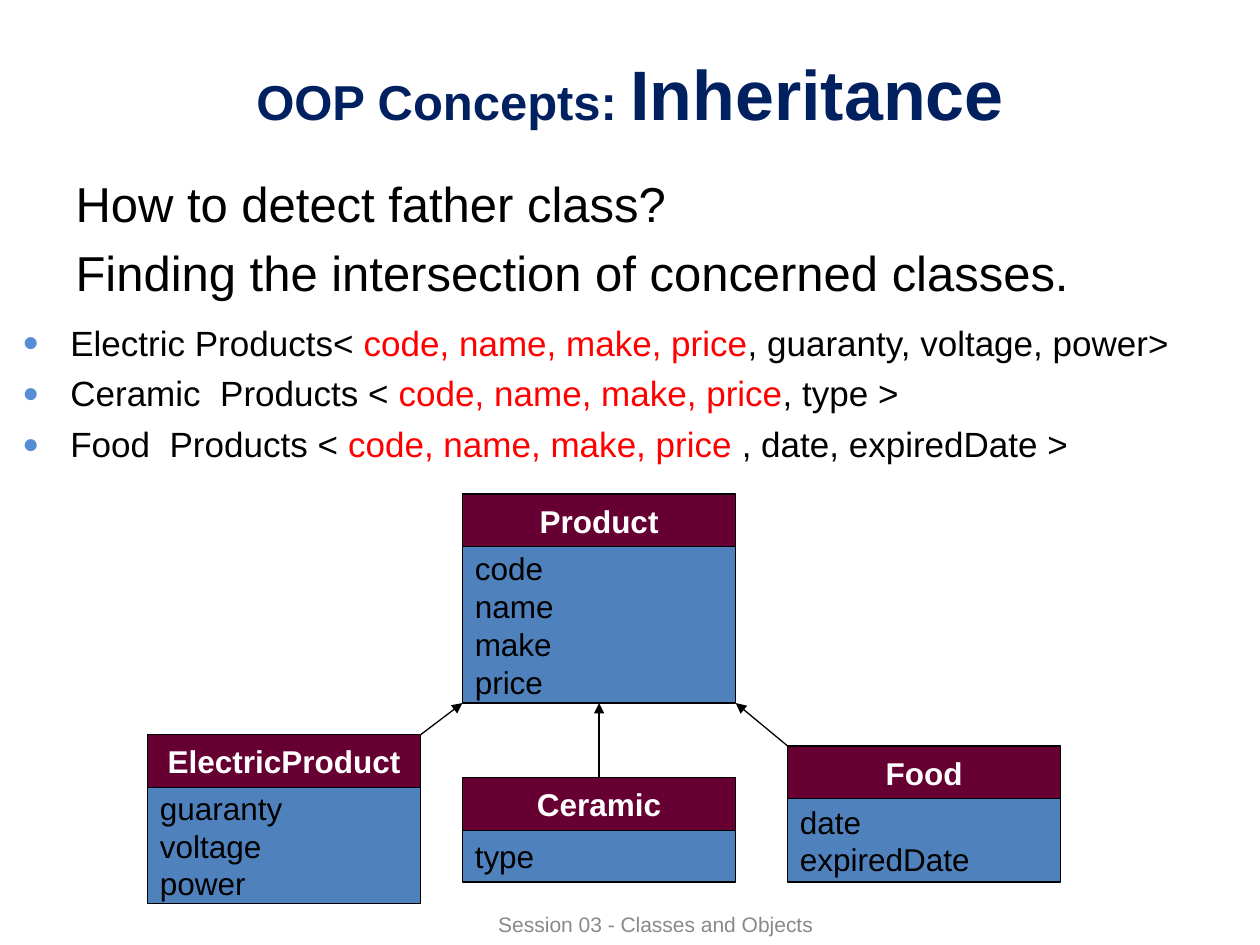
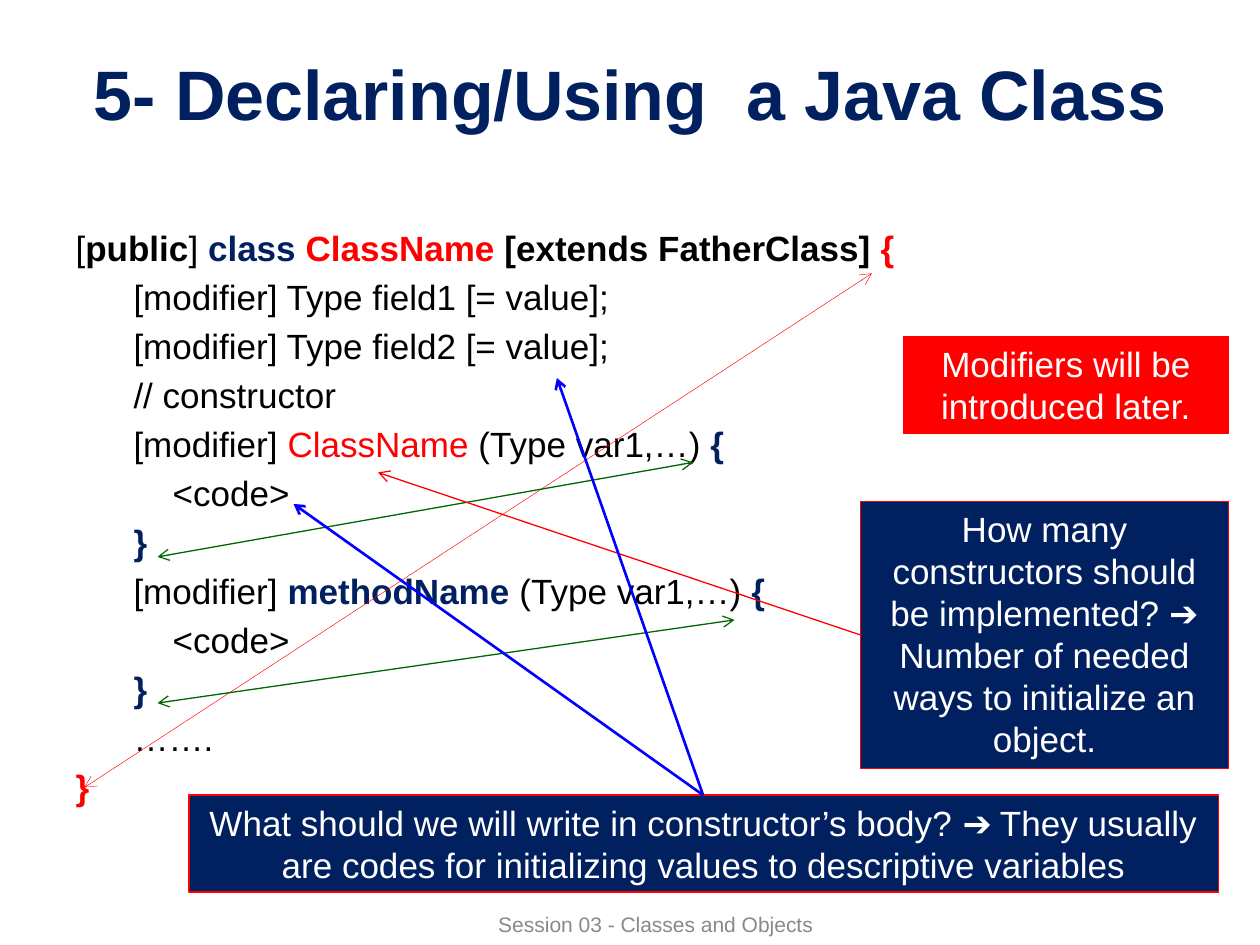
import pptx
import pptx.util
import pptx.dml.color
import pptx.enum.shapes
import pptx.enum.text
import pptx.oxml.ns
from lxml import etree

Inches = pptx.util.Inches
HUE = {
    "navy": "002060", "red": "FF0000", "black": "000000", "white": "FFFFFF",
    "gray": "898989", "wine": "660033", "steel": "4F81BD", "dot": "558ED5",
    "green": "006600", "blue": "0000FF",
}
ALIGN = pptx.enum.text.PP_ALIGN
ANCHOR = pptx.enum.text.MSO_ANCHOR
PLAIN = {"name": "Arial", "bold": False}
STRONG = {"name": "Arial", "bold": True}
MID = {"alignment": ALIGN.CENTER}
LEFT = {"alignment": ALIGN.LEFT}
FRAME = {"word_wrap": True, "auto_size": pptx.enum.text.MSO_AUTO_SIZE.NONE}
CENTRED = {**FRAME, "vertical_anchor": ANCHOR.MIDDLE}
TOP = {**FRAME, "vertical_anchor": ANCHOR.TOP}
TIGHT = {**CENTRED, "margin_top": 0, "margin_bottom": 0}
STEPS = [0, 0.46, 0.77]
HEAD = 0.42


def put(item, form):
    """Set every format value on an item."""
    for key, value in form.items():
        setattr(item, key, value)


def rgb(hue):
    """Give the named colour."""
    return pptx.dml.color.RGBColor.from_string(HUE[hue])


def node(parent, tag, **attrs):
    """Append a drawing element and give it back."""
    return etree.SubElement(parent, pptx.oxml.ns.qn("a:" + tag), attrs)


def place(item, box):
    """Move an item to a box in inches."""
    put(item, dict(zip(("left", "top", "width", "height"), map(Inches, box))))


def write(frame, lines, size, form, para):
    """Fill a frame with lines of (text, colour, bold) runs."""
    put(frame, form)
    for i, line in enumerate(lines):
        par = frame.paragraphs[0] if i == 0 else frame.add_paragraph()
        put(par, para)
        for text, hue, bold in line:
            run = par.add_run()
            run.text = text
            put(run.font, {**(STRONG if bold else PLAIN), "size": pptx.util.Pt(size)})
            run.font.color.rgb = rgb(hue)
    return frame.paragraphs


def indent(par, left, first):
    """Set the left margin and first line offset of a paragraph."""
    props = par._p.get_or_add_pPr()
    props.set("marL", str(Inches(left)))
    props.set("indent", str(Inches(first)))
    return props


def label(slide, box, lines, size, form, para):
    """Add a text box."""
    item = slide.shapes.add_textbox(*map(Inches, box))
    return write(item.text_frame, lines, size, form, para)


def block(slide, box, fill, edge, lines, size, form, para):
    """Add a filled rectangle with text."""
    kind = pptx.enum.shapes.MSO_SHAPE.RECTANGLE
    item = slide.shapes.add_shape(kind, *map(Inches, box))
    item.shadow.inherit = False
    item.fill.solid()
    item.fill.fore_color.rgb = rgb(fill)
    item.line.color.rgb = rgb(edge)
    item.line.width = pptx.util.Pt(0.75)
    write(item.text_frame, lines, size, form, para)


def arrow(slide, start, end, hue, width, tip, both=False):
    """Add a line with a tip at its end, or at both ends."""
    kind = pptx.enum.shapes.MSO_CONNECTOR.STRAIGHT
    item = slide.shapes.add_connector(kind, *map(Inches, start + end))
    item.line.color.rgb = rgb(hue)
    item.line.width = pptx.util.Pt(width)
    edge = item.line._get_or_add_ln()
    if both:
        node(edge, "headEnd", type=tip)
    node(edge, "tailEnd", type=tip)
    node(item._element.spPr, "effectLst")


def base(deck, title):
    """Start a slide with its title and footer."""
    slide = deck.slides.add_slide(deck.slide_layouts[1])
    place(slide.shapes.title, (0.5, 0.3, 9, 0.87))
    runs = [(text, "navy", True, size) for text, size in title]
    frame = slide.shapes.title.text_frame
    write(frame, [[run[:3] for run in runs]], 40, CENTRED, MID)
    for run, part in zip(frame.paragraphs[0].runs, runs):
        run.font.size = pptx.util.Pt(part[3])
    foot = [[("Session 03 - Classes and Objects", "gray", False)]]
    label(slide, (2.83, 7.17, 4.75, 0.33), foot, 12, CENTRED, MID)
    return slide


def body(slide, box, lines, size, steps):
    """Fill the body placeholder with lines at the given levels."""
    item = slide.placeholders[1]
    place(item, box)
    pars = write(item.text_frame, lines, size, TOP, LEFT)
    for par, step in zip(pars, steps):
        node(indent(par, STEPS[step], 0), "buNone")


def goods(slide, box):
    """List the kinds of goods with their shared fields in red."""
    rows = [
        ("Electric Products< ", "code, name, make, price", ", guaranty, voltage, power>"),
        ("Ceramic  Products < ", "code, name, make, price", ", type >"),
        ("Food  Products <", " code, name, make, price", " , date, expiredDate >"),
    ]
    hues = ("black", "red", "black")
    lines = [[(text, hue, False) for text, hue in zip(row, hues)] for row in rows]
    para = {**LEFT, "space_before": pptx.util.Pt(5)}
    for par in label(slide, box, lines, 20, TOP, para):
        props = indent(par, 0.38, -0.38)
        node(node(props, "buClr"), "srgbClr", val=HUE["dot"])
        node(props, "buSzPct", val="80000")
        node(props, "buFont", typeface="Arial")
        node(props, "buChar", char="●")


def card(slide, box, name, fields):
    """Draw a class as a name band over its fields."""
    x, y, w, h = box
    block(slide, (x, y, w, HEAD), "wine", "black", [[(name, "white", True)]], 18, CENTRED, MID)
    lines = [[(field, "black", False)] for field in fields]
    block(slide, (x, y + HEAD, w, h - HEAD), "steel", "black", lines, 18, TIGHT, LEFT)


def tree(slide, box):
    """Draw the father class with its child classes below."""
    x, y, w, h = box
    wide = 2.17
    mid, deep = x + 2.5, 1.66
    card(slide, (mid, y, wide, deep), "Product", ["code", "name", "make", "price"])
    kids = [
        ("ElectricProduct", ["guaranty", "voltage", "power"], x, 1.91, h, wide, 0),
        ("Ceramic", ["type"], mid, 2.25, h - 0.17, wide / 2, wide / 2),
        ("Food", ["date", "expiredDate"], x + w - wide, 2, h - 0.17, 0, wide),
    ]
    for name, fields, left, top, low, out, into in kids:
        card(slide, (left, y + top, wide, low - top), name, fields)
        arrow(slide, (left + out, y + top), (mid + into, y + deep), "black", 0.75, "triangle")


def code(slide, box):
    """Write the class outline and link its braces."""
    rows = [
        (0, [("[", "black", False), ("public", "black", True), ("] ", "black", False),
             ("class ", "navy", True), ("ClassName ", "red", True),
             ("[extends FatherClass] ", "black", True), ("{", "red", True)]),
        (1, [("[modifier] Type field1 [= value];", "black", False)]),
        (1, [("[modifier] Type field2 [= value];", "black", False)]),
        (1, [("// constructor", "black", False)]),
        (1, [("[modifier] ", "black", False), ("ClassName", "red", False),
             (" (Type var1,…) ", "black", False), ("{", "navy", True)]),
        (2, [("<code>", "black", False)]),
        (1, [("}", "navy", True)]),
        (1, [("[modifier] ", "black", False), ("methodName ", "navy", True),
             ("(Type var1,…) ", "black", False), ("{", "navy", True)]),
        (2, [("<code>", "black", False)]),
        (1, [("}", "navy", True)]),
        (1, [("…….", "black", False)]),
        (0, [("}", "red", True)]),
    ]
    body(slide, box, [row[1] for row in rows], 20, [row[0] for row in rows])
    x, y = box[:2]
    links = [
        ((0.17, 4.5), (6.42, 0.42), "red", 0.25),
        ((0.75, 2.67), (5, 1.92), "green", 0.75),
        ((0.75, 3.83), (5.33, 3.17), "green", 0.75),
    ]
    for (a, b), (c, d), hue, width in links:
        arrow(slide, (x + a, y + b), (x + c, y + d), hue, width, "arrow", True)


def note(slide, box, fill, text, hue="red", width=0.75, start=(0, 0), ends=()):
    """Add a note with arrows from a point on its edge."""
    block(slide, box, fill, "red", [[(text, "white", False)]], 20, TOP, MID)
    x, y = box[:2]
    for a, b in ends:
        arrow(slide, (x + start[0], y + start[1]), (x + a, y + b), hue, width, "arrow")


def heirs(deck):
    """Build the slide on inheritance."""
    slide = base(deck, [("OOP Concepts: ", 28), ("Inheritance", 40)])
    asks = ["How to detect father class?", "Finding the intersection of concerned classes."]
    body(slide, (0.5, 1.33, 9, 1.17), [[(ask, "black", False)] for ask in asks], 28, [0, 0])
    goods(slide, (0.08, 2.5, 9.75, 1.33))
    tree(slide, (1.17, 3.92, 7.25, 3.25))


def syntax(deck):
    """Build the slide on declaring a class."""
    slide = base(deck, [("5- Declaring/Using  a Java Class", 40)])
    code(slide, (0.5, 1.75, 9, 4.95))
    note(slide, (7.17, 2.67, 2.58, 0.77), "red", "Modifiers will be introduced later.")
    note(slide, (6.83, 3.98, 2.92, 2.12), "navy",
         "How many constructors should be implemented? ➔ "
         "Number of needed ways to initialize an object.",
         start=(0, 1.06), ends=[(-3.83, -0.23)])
    note(slide, (1.5, 6.31, 8.17, 0.77), "navy",
         "What should we will write in constructor’s body? ➔ "
         "They usually are codes for initializing values to descriptive variables",
         "blue", 1.5, (4.08, 0), [(0.83, -2.31), (2.92, -3.31)])


def main():
    """Build and save the deck."""
    deck = pptx.Presentation()
    put(deck, {"slide_width": Inches(10), "slide_height": Inches(7.5)})
    heirs(deck)
    syntax(deck)
    deck.save("out.pptx")


if __name__ == "__main__":
    main()
